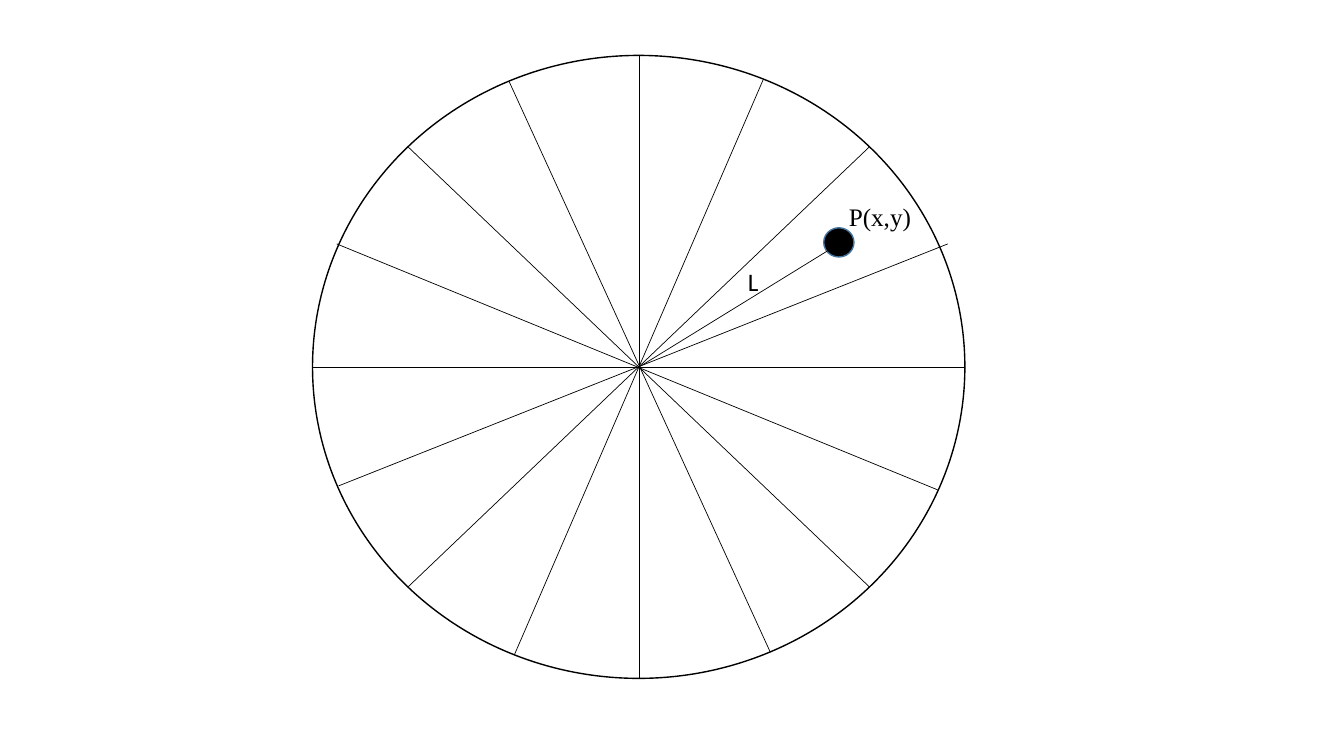
from lxml.etree import SubElement
from pptx import Presentation
from pptx.dml.color import RGBColor
from pptx.enum.shapes import MSO_CONNECTOR, MSO_SHAPE
from pptx.oxml.ns import qn
from pptx.util import Inches, Pt

BLACK = RGBColor(0x00, 0x00, 0x00)
WHITE = RGBColor(0xFF, 0xFF, 0xFF)
BLUE = RGBColor(0x43, 0x73, 0x9E)

CENTER = (6.34, 3.64)
POINT = (8.32, 2.42)
DIAMETERS = [
    ((6.34, 0.55), (6.34, 6.73)),
    ((3.1, 3.64), (9.57, 3.64)),
    ((4.05, 1.46), (8.62, 5.82)),
    ((8.62, 1.46), (4.05, 5.82)),
    ((5.05, 0.81), (7.64, 6.47)),
    ((7.57, 0.79), (5.1, 6.5)),
    ((3.34, 2.42), (9.3, 4.86)),
    ((3.36, 4.82), (9.4, 2.42)),
]


def add_ellipse(s, left, top, width, height, fill, line):
    sp = s.shapes.add_shape(MSO_SHAPE.OVAL, Inches(left), Inches(top),
                            Inches(width), Inches(height))
    sp.shadow.inherit = False
    sp.fill.solid()
    sp.fill.fore_color.rgb = fill
    sp.line.color.rgb = line
    sp.line.width = Pt(1)


def add_line(s, start, end):
    ends = [Inches(v) for v in (*start, *end)]
    cxn = s.shapes.add_connector(MSO_CONNECTOR.STRAIGHT, *ends)
    cxn.line.color.rgb = BLACK
    cxn.line.width = Pt(0.5)
    SubElement(cxn._element.spPr, qn("a:effectLst"))


def add_label(s, left, top, width, text, font):
    sp = s.shapes.add_textbox(Inches(left), Inches(top), Inches(width), Inches(0.4))
    tf = sp.text_frame
    tf.word_wrap = False
    r = tf.paragraphs[0].add_run()
    r.text = text
    r.font.name = font
    r.font.size = Pt(18)
    r.font.color.rgb = BLACK


def main():
    prs = Presentation()
    prs.slide_width, prs.slide_height = Inches(13.33), Inches(7.5)
    s = prs.slides.add_slide(prs.slide_layouts[6])

    add_ellipse(s, 3.1, 0.55, 6.47, 6.18, WHITE, BLACK)
    for start, end in DIAMETERS:
        add_line(s, start, end)
    add_ellipse(s, 8.17, 2.26, 0.3, 0.29, BLACK, BLUE)
    add_label(s, 8.32, 1.95, 0.84, "P(x,y)", "Times New Roman")
    add_line(s, CENTER, POINT)
    add_label(s, 7.32, 2.59, 0.42, "L", "Calibri")

    prs.save("out.pptx")


main()
